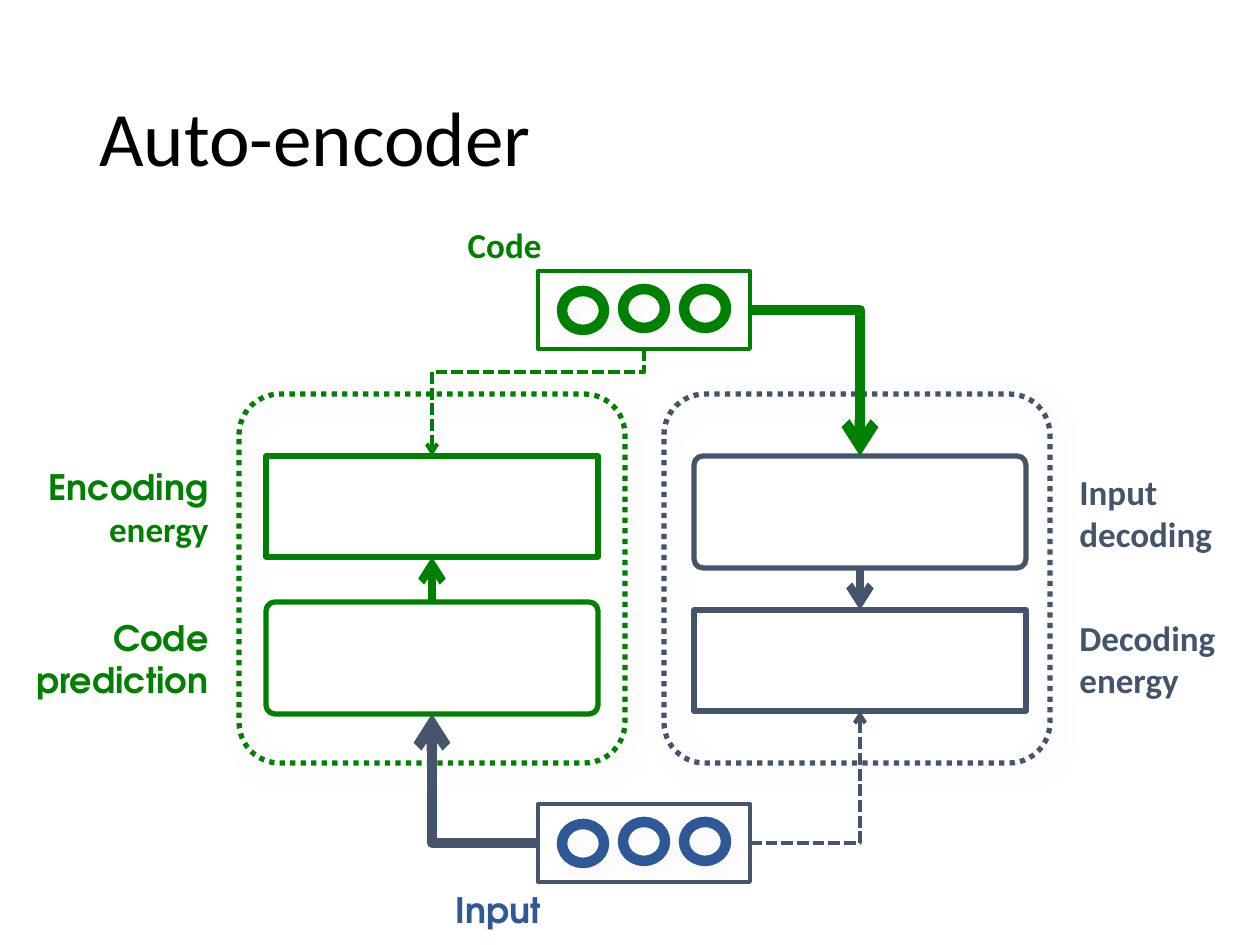
from dataclasses import dataclass

from lxml.etree import SubElement
from pptx import Presentation
from pptx.dml.color import RGBColor
from pptx.enum.dml import MSO_LINE
from pptx.enum.shapes import MSO_CONNECTOR, MSO_SHAPE
from pptx.enum.text import MSO_ANCHOR, MSO_AUTO_SIZE, PP_ALIGN
from pptx.oxml.ns import qn
from pptx.util import Emu, Pt


@dataclass(frozen=True)
class Theme:
    black: str = "000000"
    green: str = "008000"
    slate: str = "44546A"
    blue: str = "2F5897"
    shadow: str = "E7E6E6"
    sans: str = "Calibri"
    display: str = "TeX Gyre Adventor"
    title_size: int = 44
    label_size: int = 20


THEME = Theme()
PX = 914400 / 126
TOP, LEFT, BOTTOM, RIGHT = range(4)

TITLE = ("Auto-encoder", (87, 50, 1086, 183))
LABELS = [
    ("Code", (433, 217, 121, 55), PP_ALIGN.RIGHT, THEME.green, [THEME.sans]),
    ("Input", (442, 882, 112, 55), PP_ALIGN.RIGHT, THEME.blue, [THEME.display]),
    ("Code\vprediction", (21, 610, 200, 97), PP_ALIGN.RIGHT, THEME.green, [THEME.display] * 2),
    ("Encoding\venergy", (33, 459, 188, 97), PP_ALIGN.RIGHT, THEME.green, [THEME.display, THEME.sans]),
    ("Decoding\venergy", (1067, 610, 194, 97), PP_ALIGN.LEFT, THEME.slate, [THEME.sans] * 2),
    ("Input\vdecoding", (1067, 464, 193, 97), PP_ALIGN.LEFT, THEME.slate, [THEME.sans] * 2),
]
FRAMES = [(239, THEME.green), (664, THEME.slate)]
MODULES = {
    "prediction": (MSO_SHAPE.ROUNDED_RECTANGLE, (266, 602, 332, 112), THEME.green),
    "encoding energy": (MSO_SHAPE.RECTANGLE, (266, 456, 332, 101), THEME.green),
    "decoding": (MSO_SHAPE.ROUNDED_RECTANGLE, (694, 456, 332, 112), THEME.slate),
    "decoding energy": (MSO_SHAPE.RECTANGLE, (694, 610, 332, 101), THEME.slate),
}
UNITS = {
    "input": (804, THEME.slate, THEME.blue),
    "code": (271, THEME.green, THEME.green),
}
UNIT_LEFT, UNIT_WIDTH, UNIT_HEIGHT = 538, 212, 78
CIRCLE_OFFSETS = [(24, 20), (85, 18), (146, 18)]
STRAIGHT_ARROWS = [
    ("prediction", TOP, "encoding energy", BOTTOM, THEME.green, 4.5, None),
    ("decoding", BOTTOM, "decoding energy", TOP, THEME.slate, 4.5, None),
]
CORNER_ARROWS = [
    ("input", LEFT, "prediction", BOTTOM, THEME.slate, 6, None),
    ("input", RIGHT, "decoding energy", BOTTOM, THEME.slate, 2.25, MSO_LINE.SQUARE_DOT),
    ("code", RIGHT, "decoding", TOP, THEME.green, 6, None),
]
STEP_ARROW = ("code", BOTTOM, "encoding energy", TOP, THEME.green, 2.25, MSO_LINE.SQUARE_DOT)
STEP_BEND = 21300


def px(value):
    return Emu(round(value * PX))


def set_line(line, color, width, dash=None):
    line.color.rgb = RGBColor.from_string(color)
    line.width = Pt(width)
    if dash:
        line.dash_style = dash


def add_outline(shapes, preset, box, color, width, dash=None, corner=None, shadow_alpha=None):
    shape = shapes.add_shape(preset, *map(px, box))
    shape.fill.background()
    set_line(shape.line, color, width, dash)
    shape.shadow.inherit = False
    if corner:
        shape.adjustments[0] = corner
    if shadow_alpha:
        effects = shape._element.spPr.find(qn("a:effectLst"))
        shadow = SubElement(effects, qn("a:outerShdw"), blurRad=str(Pt(10)),
                            dist=str(Pt(6)), dir="2700000", rotWithShape="0")
        tone = SubElement(shadow, qn("a:srgbClr"), val=THEME.shadow)
        SubElement(tone, qn("a:alpha"), val=str(shadow_alpha * 1000))
    return shape


def add_unit(slide, top, box_color, circle_color):
    group = slide.shapes.add_group_shape()
    for left, offset in CIRCLE_OFFSETS:
        add_outline(group.shapes, MSO_SHAPE.OVAL, (UNIT_LEFT + left, top + offset, 42, 39),
                    circle_color, 6, shadow_alpha=25)
    return add_outline(group.shapes, MSO_SHAPE.RECTANGLE,
                       (UNIT_LEFT, top, UNIT_WIDTH, UNIT_HEIGHT), box_color, 2.25)


def add_arrow(slide, nodes, kind, arrow):
    start, start_side, end, end_side, color, width, dash = arrow
    connector = slide.shapes.add_connector(kind, 0, 0, 0, 0)
    connector.begin_connect(nodes[start], start_side)
    connector.end_connect(nodes[end], end_side)
    set_line(connector.line, color, width, dash)
    properties = connector._element.spPr
    SubElement(properties.find(qn("a:ln")), qn("a:tailEnd"), type="arrow")
    SubElement(properties, qn("a:effectLst"))
    return connector


def turn_step(connector):
    left, top, width, height = connector.left, connector.top, connector.width, connector.height
    transform = connector._element.spPr.find(qn("a:xfrm"))
    for flip in ("flipH", "flipV"):
        transform.attrib.pop(flip, None)
    transform.set("rot", "5400000")
    connector.left = left + (width - height) // 2
    connector.top = top + (height - width) // 2
    connector.width, connector.height = height, width
    geometry = connector._element.spPr.find(qn("a:prstGeom"))
    guides = geometry.find(qn("a:avLst"))
    SubElement(guides, qn("a:gd"), name="adj1", fmla=f"val {STEP_BEND}")


def add_text(slide, text, box, align, color, size, fonts, bold):
    text_box = slide.shapes.add_textbox(*map(px, box))
    text_frame = text_box.text_frame
    text_frame.text = text
    paragraph = text_frame.paragraphs[0]
    paragraph.alignment = align
    for run, font in zip(paragraph.runs, fonts):
        run.font.name = font
        run.font.size = Pt(size)
        run.font.bold = bold
        run.font.color.rgb = RGBColor.from_string(color)
    return text_frame


def main():
    presentation = Presentation()
    presentation.slide_width, presentation.slide_height = px(1260), px(945)
    slide = presentation.slides.add_slide(presentation.slide_layouts[6])

    title = add_text(slide, *TITLE, PP_ALIGN.LEFT, THEME.black, THEME.title_size, [THEME.sans], False)
    title.word_wrap = True
    title.vertical_anchor = MSO_ANCHOR.MIDDLE
    title.paragraphs[0].line_spacing = 0.9

    for left, color in FRAMES:
        add_outline(slide.shapes, MSO_SHAPE.ROUNDED_RECTANGLE, (left, 394, 386, 369),
                    color, 3, MSO_LINE.ROUND_DOT, 0.11, 50)

    nodes = {}
    for name, (preset, box, color) in MODULES.items():
        corner = 0.08 if preset == MSO_SHAPE.ROUNDED_RECTANGLE else None
        nodes[name] = add_outline(slide.shapes, preset, box, color, 3, corner=corner)
    for name, unit in UNITS.items():
        nodes[name] = add_unit(slide, *unit)

    for arrow in STRAIGHT_ARROWS:
        add_arrow(slide, nodes, MSO_CONNECTOR.STRAIGHT, arrow)
    for arrow in CORNER_ARROWS:
        connector = add_arrow(slide, nodes, MSO_CONNECTOR.ELBOW, arrow)
        connector._element.spPr.find(qn("a:prstGeom")).set("prst", "bentConnector2")
    turn_step(add_arrow(slide, nodes, MSO_CONNECTOR.ELBOW, STEP_ARROW))

    for text, box, align, color, fonts in LABELS:
        text_frame = add_text(slide, text, box, align, color, THEME.label_size, fonts, True)
        text_frame.word_wrap = False
        text_frame.auto_size = MSO_AUTO_SIZE.SHAPE_TO_FIT_TEXT

    presentation.save("out.pptx")


if __name__ == "__main__":
    main()
